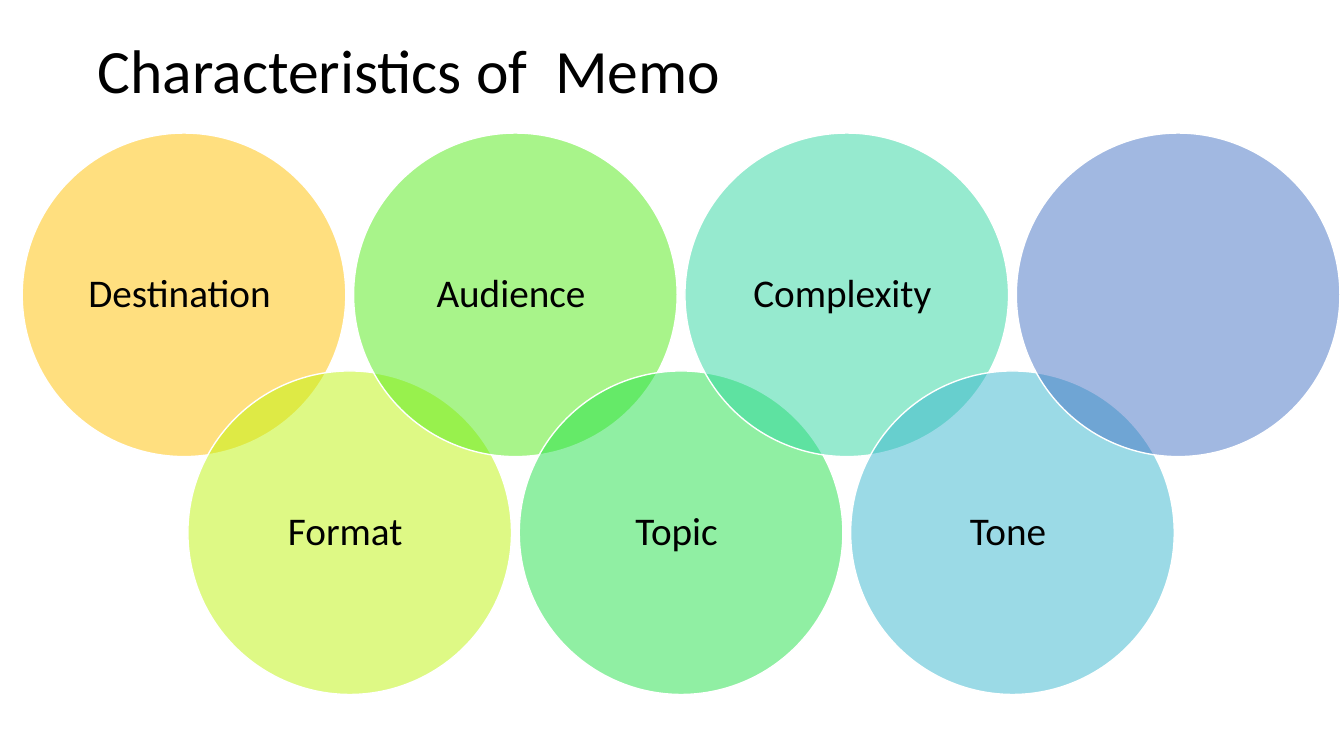
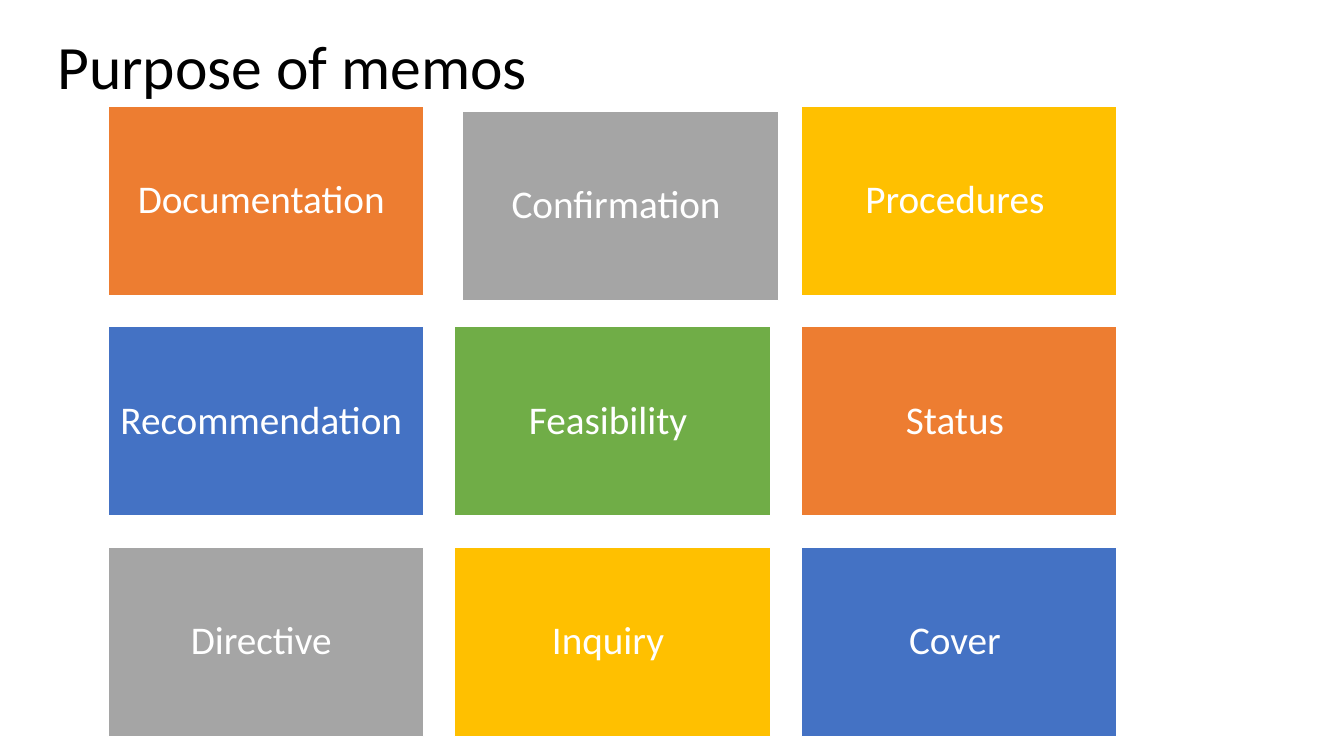
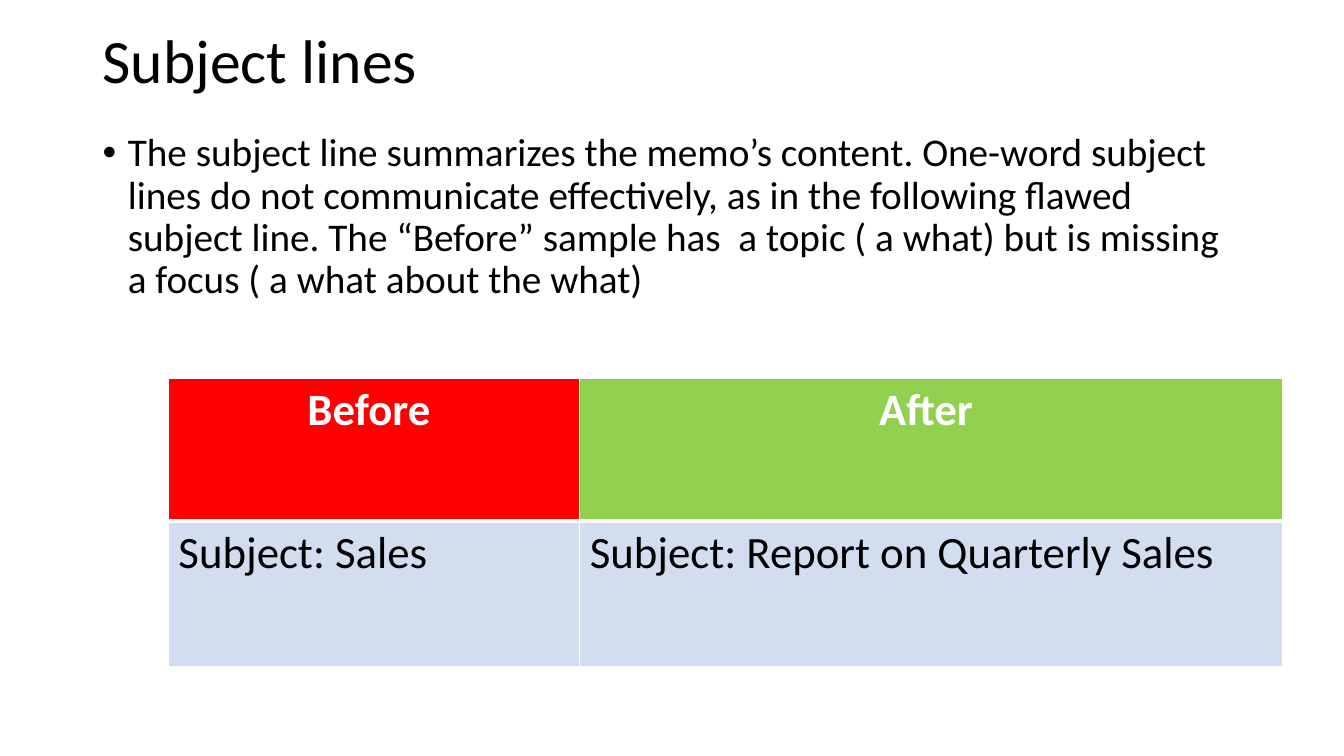
from lxml import etree
from pptx import Presentation
from pptx import util as u
from pptx.dml import color
from pptx.enum import shapes, text
from pptx.oxml import ns

FONT = "Calibri"
BLACK, WHITE = "000000", "FFFFFF"
BLUE, ORANGE, GREY, GOLD, GREEN = "4472C4", "ED7D31", "A5A5A5", "FFC000", "70AD47"
RED, LIME, PALE_BLUE = "FF0000", "92D050", "D2DEEF"
CENTER, LEFT = text.PP_ALIGN.CENTER, text.PP_ALIGN.LEFT
MIDDLE, TOP = text.MSO_ANCHOR.MIDDLE, text.MSO_ANCHOR.TOP


def rgb(value):
    return color.RGBColor.from_string(value)


def set_all(target, values):
    for name, value in values.items():
        setattr(target, name, value)


def add_xml(parent, tag, **attributes):
    element = etree.SubElement(parent, ns.qn(tag))
    for name, value in attributes.items():
        element.set(name, str(value))
    return element


def paint(fill, value):
    fill.solid()
    fill.fore_color.rgb = rgb(value)


def write(paragraph, words, size, ink=BLACK, bold=False, **layout):
    paragraph.text = words
    set_all(paragraph, layout)
    set_all(paragraph.font, {"name": FONT, "size": u.Pt(size), "bold": bold})
    paragraph.font.color.rgb = rgb(ink)


def add_text_box(slide, box, anchor):
    """Add a wrapping text box and return its first paragraph."""
    frame = slide.shapes.add_textbox(*map(u.Inches, box)).text_frame
    set_all(frame, {"word_wrap": True, "vertical_anchor": anchor})
    return frame.paragraphs[0]


def add_titled_slide(presentation, title, box):
    slide = presentation.slides.add_slide(presentation.slide_layouts[6])
    write(add_text_box(slide, box, MIDDLE), title, 44, line_spacing=0.9)
    return slide


def add_bullet(slide, box, words):
    paragraph = add_text_box(slide, box, TOP)
    properties = paragraph._p.get_or_add_pPr()
    set_all_indents = {"marL": u.Inches(0.25), "indent": u.Inches(-0.25)}
    for name, value in set_all_indents.items():
        properties.set(name, str(value))
    add_xml(properties, "a:buFont", typeface="Arial")
    add_xml(properties, "a:buChar", char="•")
    write(paragraph, words, 28, line_spacing=0.9)


def add_label_shape(slide, kind, box, fill, label, ink, opacity=100):
    shape = slide.shapes.add_shape(kind, *map(u.Inches, box))
    shape.shadow.inherit = False
    paint(shape.fill, fill)
    if opacity < 100:
        tint = shape.fill._xPr.find(ns.qn("a:solidFill"))[0]
        add_xml(tint, "a:alpha", val=opacity * 1000)
    shape.line.color.rgb = rgb(WHITE)
    shape.line.width = u.Pt(1)
    if label:
        frame = shape.text_frame
        set_all(frame, {"word_wrap": True, "vertical_anchor": MIDDLE})
        for side in ("left", "top", "right", "bottom"):
            setattr(frame, f"margin_{side}", u.Inches(0.12))
        # The trailing space is part of the wording of each label.
        write(frame.paragraphs[0], f"{label} ", 28, ink, alignment=CENTER, line_spacing=0.9)


def add_circles(slide, circles):
    """Overlapping circles, alternating between an upper and a lower row."""
    first, last, size = 0.22, 10.08, 3.21
    step = (last - first) / (len(circles) - 1)
    for index, (label, fill) in enumerate(circles):
        top = 3.68 if index % 2 else 1.32
        add_label_shape(slide, shapes.MSO_SHAPE.OVAL, (first + index * step, top, size, size),
                        fill, label, BLACK, opacity=50)


def add_tiles(slide, tiles, nudges):
    """Three-column grid; nudges moves single tiles off the grid."""
    width, height, gap = 3.13, 1.88, 0.31
    for index, (label, fill) in enumerate(tiles):
        row, column = divmod(index, 3)
        right, down = nudges.get(label, (0, 0))
        box = (1.07 + column * (width + gap) + right, 1.05 + row * (height + gap) + down,
               width, height)
        add_label_shape(slide, shapes.MSO_SHAPE.RECTANGLE, box, fill, label, WHITE)


def add_borders(cell, **points):
    """Draw white borders, given as widths in drawing order L, R, T, B."""
    properties = cell._tc.get_or_add_tcPr()
    for side, width in points.items():
        line = add_xml(properties, f"a:ln{side}", w=u.Pt(width))
        add_xml(add_xml(line, "a:solidFill"), "a:srgbClr", val=WHITE)


def add_comparison(slide, box, widths, heights, header, body):
    table = slide.shapes.add_table(2, len(widths), *map(u.Inches, box)).table
    for column, width in zip(table.columns, widths):
        column.width = u.Inches(width)
    for row, height in zip(table.rows, heights):
        row.height = u.Inches(height)
    styles = ({"ink": WHITE, "bold": True, "alignment": CENTER},
              {"ink": BLACK, "bold": False, "alignment": LEFT})
    borders = ({"L": 1, "R": 1, "T": 1, "B": 3}, {"L": 1, "R": 1, "T": 3, "B": 1})
    for row, cells in enumerate((header, body)):
        for column, (words, fill) in enumerate(cells):
            cell = table.cell(row, column)
            add_borders(cell, **borders[row])
            paint(cell.fill, fill)
            write(cell.text_frame.paragraphs[0], words, 32, **styles[row])


def main():
    presentation = Presentation()
    set_all(presentation, {"slide_width": u.Inches(13.33), "slide_height": u.Inches(7.5)})

    slide = add_titled_slide(presentation, "Characteristics of  Memo", (0.87, 0, 11.5, 1.45))
    add_circles(slide, [("Destination", GOLD), ("Format", "BEF50C"), ("Audience", "53EB17"),
                        ("Topic", "23E148"), ("Complexity", "2ED7A1"), ("Tone", "39B6CE"),
                        ("", BLUE)])

    slide = add_titled_slide(presentation, "Purpose of memos", (0.47, 0.14, 11.5, 1.1))
    add_tiles(slide, [("Documentation", ORANGE), ("Confirmation", GREY), ("Procedures", GOLD),
                      ("Recommendation", BLUE), ("Feasibility", GREEN), ("Status", ORANGE),
                      ("Directive", GREY), ("Inquiry", GOLD), ("Cover", BLUE)],
              nudges={"Confirmation": (0.08, 0.05)})

    slide = add_titled_slide(presentation, "Subject lines", (0.92, 0.16, 11.5, 0.94))
    add_bullet(slide, (0.92, 1.27, 11.5, 2.2),
               "The subject line summarizes the memo’s content. One-word subject lines do not "
               "communicate effectively, as in the following flawed subject line. The “Before” "
               "sample has  a topic ( a what) but is missing a focus ( a what about the what)")
    add_comparison(slide, (1.67, 3.75, 11.05, 2.86), (4.08, 6.97), (1.42, 1.44),
                   header=[("Before ", RED), ("After ", LIME)],
                   body=[("Subject: Sales", PALE_BLUE),
                         ("Subject: Report on Quarterly Sales", PALE_BLUE)])

    presentation.save("out.pptx")


if __name__ == "__main__":
    main()
